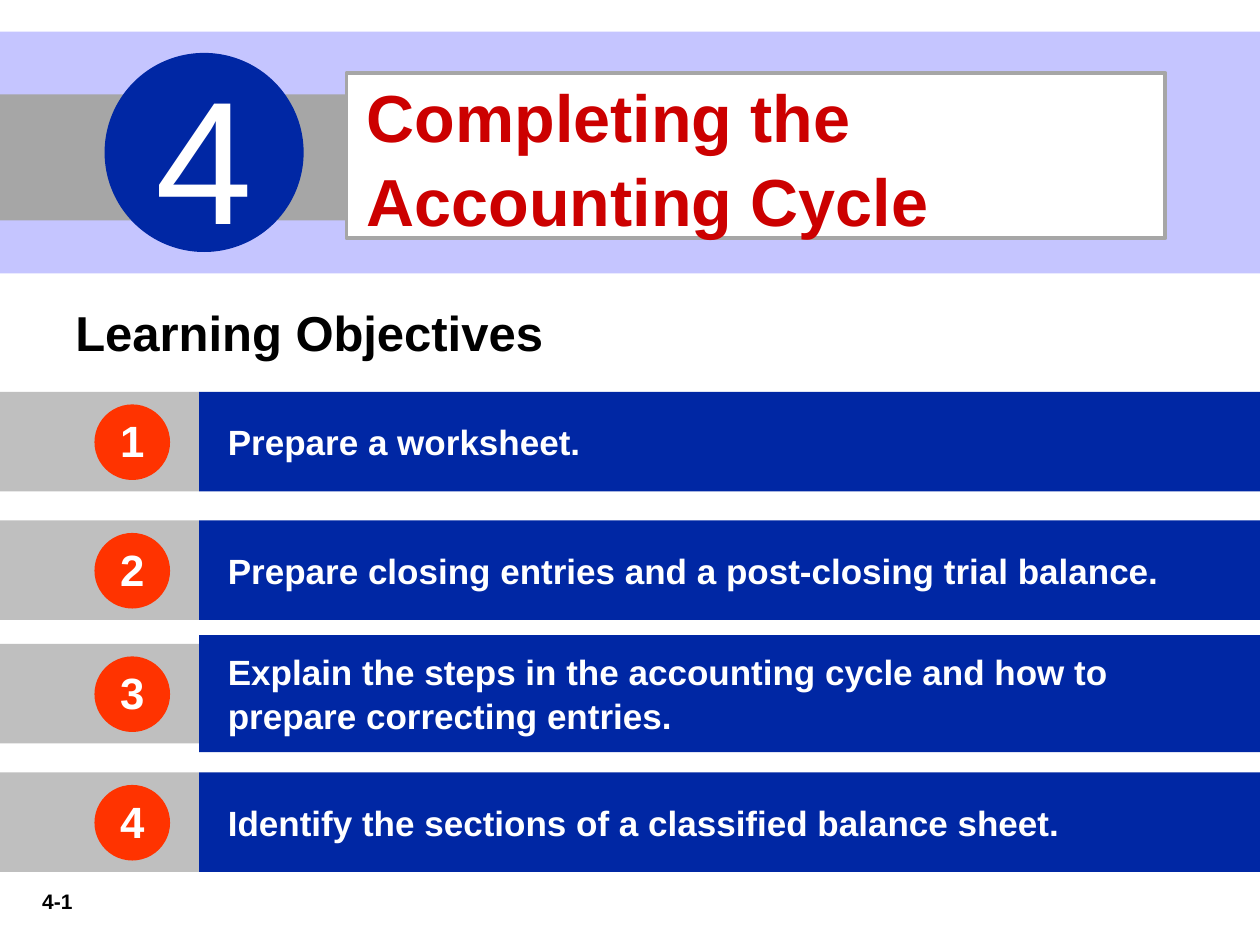
from dataclasses import dataclass

from pptx import Presentation
from pptx.dml.color import RGBColor
from pptx.enum.shapes import MSO_SHAPE as Shape
from pptx.enum.text import MSO_ANCHOR as Anchor, MSO_AUTO_SIZE as AutoSize, PP_ALIGN as Align
from pptx.util import Inches, Pt


@dataclass(frozen=True)
class Theme:
    font: str = "Arial"
    white: str = "FFFFFF"
    black: str = "000000"
    red: str = "CC0000"
    navy: str = "0027A4"
    orange: str = "FF3300"
    lavender: str = "C5C5FF"
    rule_gray: str = "A6A6A6"
    tab_gray: str = "BFBFBF"
    chapter_size: int = 100
    title_size: int = 38
    heading_size: int = 28
    badge_size: int = 25
    objective_size: int = 20
    page_size: int = 12
    line_spacing: float = 1.05


class SlideBuilder:
    def __init__(self, slide, theme):
        self.slide = slide
        self.theme = theme

    def set_text(self, frame, text, size, color, bold=True, align=Align.LEFT,
                 insets=(0.1, 0.05, 0.1, 0.05), anchor=Anchor.MIDDLE, indent=0,
                 spacing=None):
        """Fill a text frame; insets run left, top, right, bottom in inches."""
        frame.word_wrap = True
        frame.vertical_anchor = anchor
        (frame.margin_left, frame.margin_top,
         frame.margin_right, frame.margin_bottom) = map(Inches, insets)
        frame.text = text
        paragraph = frame.paragraphs[0]
        paragraph.alignment = align
        paragraph.line_spacing = spacing or self.theme.line_spacing
        if indent:
            properties = paragraph._p.get_or_add_pPr()
            properties.set("marL", str(Inches(indent)))
            properties.set("indent", "0")
        font = paragraph.font
        font.name, font.size, font.bold = self.theme.font, Pt(size), bold
        font.color.rgb = RGBColor.from_string(color)

    def block(self, kind, box, fill):
        shape = self.slide.shapes.add_shape(kind, *map(Inches, box))
        shape.shadow.inherit = False
        shape.fill.solid()
        shape.fill.fore_color.rgb = RGBColor.from_string(fill)
        shape.line.fill.background()
        return shape

    def bar(self, box, fill):
        return self.block(Shape.RECTANGLE, box, fill)

    def badge(self, box, fill, number, size, bold=True):
        circle = self.block(Shape.OVAL, box, fill)
        self.set_text(circle.text_frame, number, size, self.theme.white, bold,
                      Align.CENTER, insets=(0.1, 0, 0.1, 0.05))

    def label(self, box, text, size, align=Align.LEFT, spacing=None):
        area = self.slide.shapes.add_textbox(*map(Inches, box))
        self.set_text(area.text_frame, text, size, self.theme.black, align=align,
                      anchor=Anchor.TOP, spacing=spacing)
        area.text_frame.auto_size = AutoSize.SHAPE_TO_FIT_TEXT

    def title(self, box, text):
        title = self.slide.shapes.title
        title.left, title.top, title.width, title.height = map(Inches, box)
        title.fill.solid()
        title.fill.fore_color.rgb = RGBColor.from_string(self.theme.white)
        title.line.color.rgb = RGBColor.from_string(self.theme.rule_gray)
        title.line.width = Pt(2.25)
        self.set_text(title.text_frame, text, self.theme.title_size, self.theme.red, indent=0.06)
        title.text_frame.auto_size = AutoSize.NONE
        # Bring the title in front of the banner drawn so far
        title.element.getparent().append(title.element)

    def objective(self, number, text, top, bar_height):
        """Draw a gray tab, a navy bar centred on it, and a numbered badge."""
        tab_width, tab_height, badge_side = 1.58, 0.79, 0.6
        self.bar((0, top, tab_width, tab_height), self.theme.tab_gray)
        bar_top = top - (bar_height - tab_height) / 2
        bar = self.bar((tab_width, bar_top, 10 - tab_width, bar_height), self.theme.navy)
        self.set_text(bar.text_frame, text, self.theme.objective_size, self.theme.white,
                      insets=(0.1, 0.03, 0.4, 0.05), indent=0.13)
        self.badge((0.75, top + 0.1, badge_side, badge_side), self.theme.orange,
                   str(number), self.theme.badge_size)


OBJECTIVES = [
    ("Prepare a worksheet.", 3.11, 0.79),
    ("Prepare closing entries and a post-closing trial balance.", 4.13, 0.79),
    ("Explain the steps in the accounting cycle and how to prepare correcting entries.",
     5.11, 0.93),
    ("Identify the sections of a classified balance sheet.", 6.13, 0.79),
]


def main():
    deck = Presentation()
    deck.slide_width, deck.slide_height = Inches(10), Inches(7.5)
    theme = Theme()
    builder = SlideBuilder(deck.slides.add_slide(deck.slide_layouts[5]), theme)

    builder.label((0.08, 7, 0.75, 0.3), "4-1", theme.page_size, Align.CENTER, spacing=1.0)
    builder.bar((0, 0.25, 10, 1.92), theme.lavender)
    builder.bar((0, 0.75, 2.75, 1), theme.rule_gray)
    builder.title((2.75, 0.58, 6.5, 1.31), "Completing the Accounting Cycle")
    builder.badge((0.83, 0.42, 1.58, 1.58), theme.navy, "4", theme.chapter_size, bold=False)

    builder.label((0.5, 2.33, 4.83, 0.57), "Learning Objectives", theme.heading_size)
    for number, (text, top, bar_height) in enumerate(OBJECTIVES, start=1):
        builder.objective(number, text, top, bar_height)

    deck.save("out.pptx")


if __name__ == "__main__":
    main()
